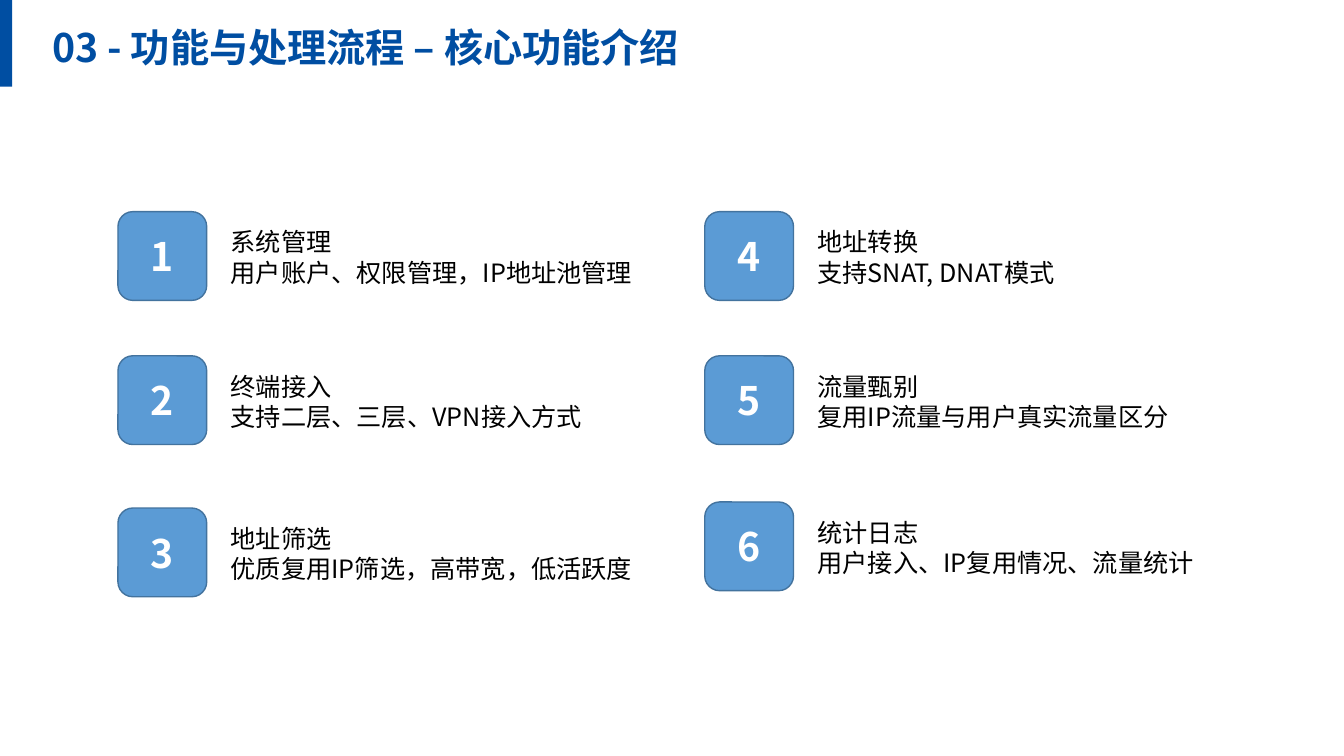
from lxml.etree import SubElement
from pptx import Presentation
from pptx.dml.color import RGBColor
from pptx.enum.shapes import MSO_SHAPE as Shape
from pptx.enum.text import MSO_ANCHOR as Anchor, MSO_AUTO_SIZE as AutoSize, PP_ALIGN as Align
from pptx.oxml.ns import qn
from pptx.util import Inches, Pt

TITLE = "03 - 功能与处理流程 – 核心功能介绍"
COLUMNS = [
    (1.17, [
        (2.1, "1", "系统管理", "用户账户、权限管理，IP地址池管理"),
        (3.53, "2", "终端接入", "支持二层、三层、VPN接入方式"),
        (5.04, "3", "地址筛选", "优质复用IP筛选，高带宽，低活跃度"),
    ]),
    (6.99, [
        (2.1, "4", "地址转换", "支持SNAT, DNAT模式"),
        (3.53, "5", "流量甄别", "复用IP流量与用户真实流量区分"),
        (4.98, "6", "统计日志", "用户接入、IP复用情况、流量统计"),
    ]),
]
FONT = "Noto Sans CJK SC"
COLORS = {"brand": "004EA2", "badge": "5B9BD5", "outline": "43739E",
          "text": "000000", "number": "FFFFFF"}
BADGE_SIZE = 0.88
TEXT_OFFSET = (1.02, 0.1)


def color(name):
    return RGBColor.from_string(COLORS[name])


def add_span(para, text, size, color_name, bold=False):
    span = para.add_run()
    span.text = text
    span.font.size = Pt(size)
    span.font.bold = bold
    span.font.color.rgb = color(color_name)
    span.font.name = FONT
    SubElement(span._r.get_or_add_rPr(), qn("a:ea"), typeface=FONT)


def add_shape(page, kind, left, top, width, height, fill):
    shape = page.shapes.add_shape(kind, Inches(left), Inches(top), Inches(width), Inches(height))
    shape.shadow.inherit = False
    shape.fill.solid()
    shape.fill.fore_color.rgb = color(fill)
    return shape


def add_text_frame(page, left, top, width, height):
    box = page.shapes.add_textbox(Inches(left), Inches(top), Inches(width), Inches(height))
    frame = box.text_frame
    frame.word_wrap = True
    frame.auto_size = AutoSize.SHAPE_TO_FIT_TEXT
    return frame


def add_header(page):
    bar = add_shape(page, Shape.RECTANGLE, 0, 0, 0.12, 0.86, "brand")
    bar.line.fill.background()
    frame = add_text_frame(page, 0.4, 0.24, 10.87, 0.5)
    frame.margin_left = Inches(0.12)
    frame.margin_top = frame.margin_bottom = Inches(0.04)
    para = frame.paragraphs[0]
    para.line_spacing = 0.9
    add_span(para, TITLE, 28, "brand", bold=True)


def add_feature(page, left, top, number, name, detail):
    badge = add_shape(page, Shape.ROUNDED_RECTANGLE, left, top, BADGE_SIZE, BADGE_SIZE, "badge")
    badge.line.color.rgb = color("outline")
    badge.line.width = Pt(1)
    badge.text_frame.vertical_anchor = Anchor.MIDDLE
    para = badge.text_frame.paragraphs[0]
    para.alignment = Align.CENTER
    add_span(para, number, 28, "number", bold=True)

    frame = add_text_frame(page, left + TEXT_OFFSET[0], top + TEXT_OFFSET[1], 4.3, 0.71)
    add_span(frame.paragraphs[0], name, 18, "text")
    add_span(frame.add_paragraph(), detail, 18, "text")


def main():
    deck = Presentation()
    deck.slide_width, deck.slide_height = Inches(13.33), Inches(7.5)
    page = deck.slides.add_slide(deck.slide_layouts[6])
    add_header(page)
    for left, features in COLUMNS:
        for top, number, name, detail in features:
            add_feature(page, left, top, number, name, detail)
    deck.save("out.pptx")


if __name__ == "__main__":
    main()
